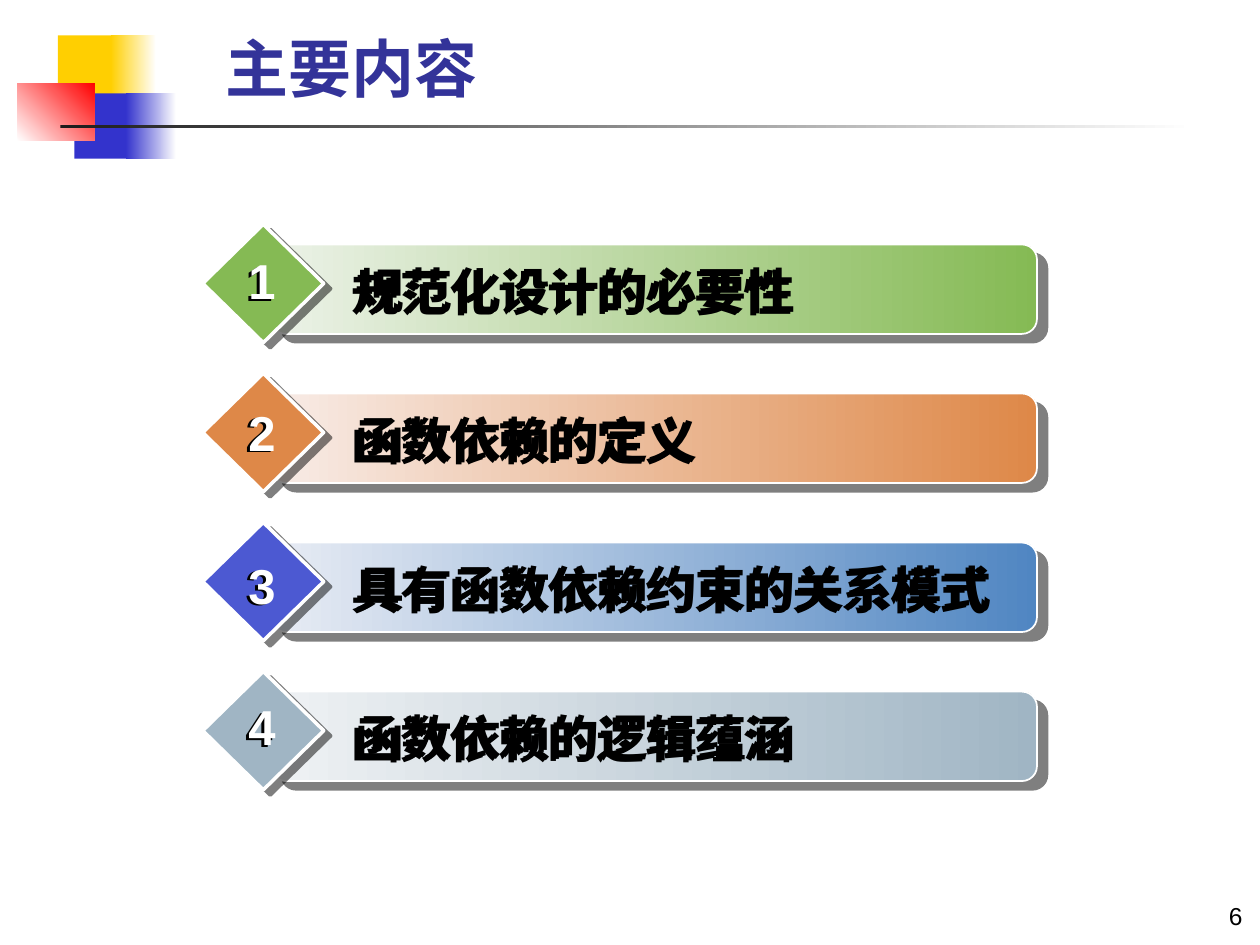
from lxml.etree import SubElement
from pptx import Presentation
from pptx.dml.color import RGBColor
from pptx.enum.shapes import MSO_SHAPE as Preset
from pptx.enum.text import MSO_ANCHOR as Anchor, MSO_AUTO_SIZE as AutoSize, PP_ALIGN as Align
from pptx.oxml.ns import qn
from pptx.util import Inches, Pt

CJK = "Noto Sans CJK SC"
ROW_TOP, ROW_PITCH = 1.78, 1.183
BAR_SHADOW, DIAMOND_SHADOW = (7.8, 40, 50), (5, 37, 50)
TEXT_SHADOW = (2, 155, 100)

# (left, top, width, height), colours, gradient angle
DECOR = [
    ((0.46, 0.28, 0.48, 0.52), ["FFCF01"], 0),
    ((0.88, 0.28, 0.36, 0.52), ["FFCF01", "FFFFFF"], 0),
    ((0.59, 0.74, 0.46, 0.52), ["3333CC"], 0),
    ((1, 0.74, 0.4, 0.52), ["3333CC", "FFFFFF"], 0),
    ((0.14, 0.66, 0.61, 0.46), ["FFFFFF", "FF0000"], 45),
    ((0.48, 0.99, 9, 0.03), ["1C1C1C", "FFFFFF"], 0),
]
# topic, bar gradient, diamond colour, topic width, number offset in the row
TOPICS = [
    ("规范化设计的必要性", ["ECF2E8", "85BA54"], "85BA54", 4.8, 0.16),
    ("函数依赖的定义", ["F8ECE7", "DE8848"], "DE8848", 4.8, 0.18),
    ("具有函数依赖约束的关系模式", ["E8ECF4", "5086C2"], "4C59D2", 5.43, 0.21),
    ("函数依赖的逻辑蕴涵", ["EFF2F4", "A0B5C4"], "A0B5C4", 4.8, 0.15),
]


def rgb(value):
    return RGBColor.from_string(value)


def add_shadow(effects, distance, angle, opacity, color="000000"):
    outer = SubElement(effects, qn("a:outerShdw"), dist=str(Pt(distance)),
                       dir=str(angle * 60000), algn="ctr", rotWithShape="0")
    tint = SubElement(outer, qn("a:srgbClr"), val=color)
    SubElement(tint, qn("a:alpha"), val=str(opacity * 1000))


def shade(shape, shadow=None):
    """Replace the theme's shadow by the given one, or by none."""
    shape.shadow.inherit = False
    if shadow:
        add_shadow(shape._element.spPr.find(qn("a:effectLst")), *shadow)


def paint(shape, colors, angle=0):
    """Fill with one colour, or with a gradient between two."""
    if len(colors) == 1:
        shape.fill.solid()
        shape.fill.fore_color.rgb = rgb(colors[0])
        return
    shape.fill.gradient()
    shape.fill.gradient_angle = angle
    for stop, color in zip(shape.fill.gradient_stops, colors):
        stop.color.rgb = rgb(color)


def add_block(shapes, preset, box, colors, angle=0, outline=0, shadow=None):
    block = shapes.add_shape(preset, *map(Inches, box))
    paint(block, colors, angle)
    if outline:
        block.line.color.rgb = rgb("FFFFFF")
        block.line.width = Pt(outline)
    else:
        block.line.fill.background()
    shade(block, shadow)
    return block


def write(frame, text, size, color, face="Arial", bold=True, align=Align.LEFT):
    paragraph = frame.paragraphs[0]
    paragraph.alignment = align
    run = paragraph.add_run()
    run.text = text
    settings = {"size": Pt(size), "bold": bold, "name": face}
    for name, value in settings.items():
        setattr(run.font, name, value)
    run.font.color.rgb = rgb(color)
    properties = run._r.get_or_add_rPr()
    east_asian = SubElement(properties, qn("a:ea"), typeface=CJK)
    properties.find(qn("a:latin")).addnext(east_asian)
    return properties


def add_label(shapes, box, text, size, color, wrap=True, shadow=None, **style):
    label = shapes.add_textbox(*map(Inches, box))
    label.text_frame.word_wrap = wrap
    label.text_frame.auto_size = AutoSize.SHAPE_TO_FIT_TEXT
    write(label.text_frame, text, size, color, **style)
    if shadow:
        shade(label, shadow)


def add_title(slide, text):
    title = slide.shapes.title
    place = {"left": 1.69, "top": 0.08, "width": 7.89, "height": 0.91}
    for name, value in place.items():
        setattr(title, name, Inches(value))
    title.text_frame.vertical_anchor = Anchor.MIDDLE
    properties = write(title.text_frame, text, 36, "333399")
    effects = SubElement(properties, qn("a:effectLst"))
    properties.find(qn("a:latin")).addprevious(effects)
    add_shadow(effects, 2, 45, 100, "808080")


def add_topic(slide, index, topic, gradient, accent, width, number_offset):
    top = ROW_TOP + index * ROW_PITCH
    row = slide.shapes.add_group_shape().shapes
    add_block(row, Preset.ROUNDED_RECTANGLE, (2.15, top + 0.16, 6.08, 0.71),
              gradient, outline=1, shadow=BAR_SHADOW)
    add_block(row, Preset.DIAMOND, (1.61, top, 0.96, 0.94), [accent],
              outline=2, shadow=DIAMOND_SHADOW)
    add_label(row, (2.72, top + 0.24, width, 0.57), topic, 28, "000000",
              shadow=TEXT_SHADOW, face=CJK)
    add_label(row, (1.87, top + number_offset, 0.42, 0.57), str(index + 1), 28,
              "FFFFFF", wrap=False, shadow=TEXT_SHADOW, align=Align.CENTER)


def main():
    deck = Presentation()
    deck.slide_width, deck.slide_height = Inches(10), Inches(7.5)
    slide = deck.slides.add_slide(deck.slide_layouts[5])
    for box, colors, angle in DECOR:
        add_block(slide.shapes, Preset.RECTANGLE, box, colors, angle)
    add_title(slide, "主要内容")
    for index, topic in enumerate(TOPICS):
        add_topic(slide, index, *topic)
    add_label(slide.shapes, (7.63, 7.1, 2.33, 0.35), "6", 14, "000000",
              bold=False, align=Align.RIGHT)
    deck.save("out.pptx")


if __name__ == "__main__":
    main()
